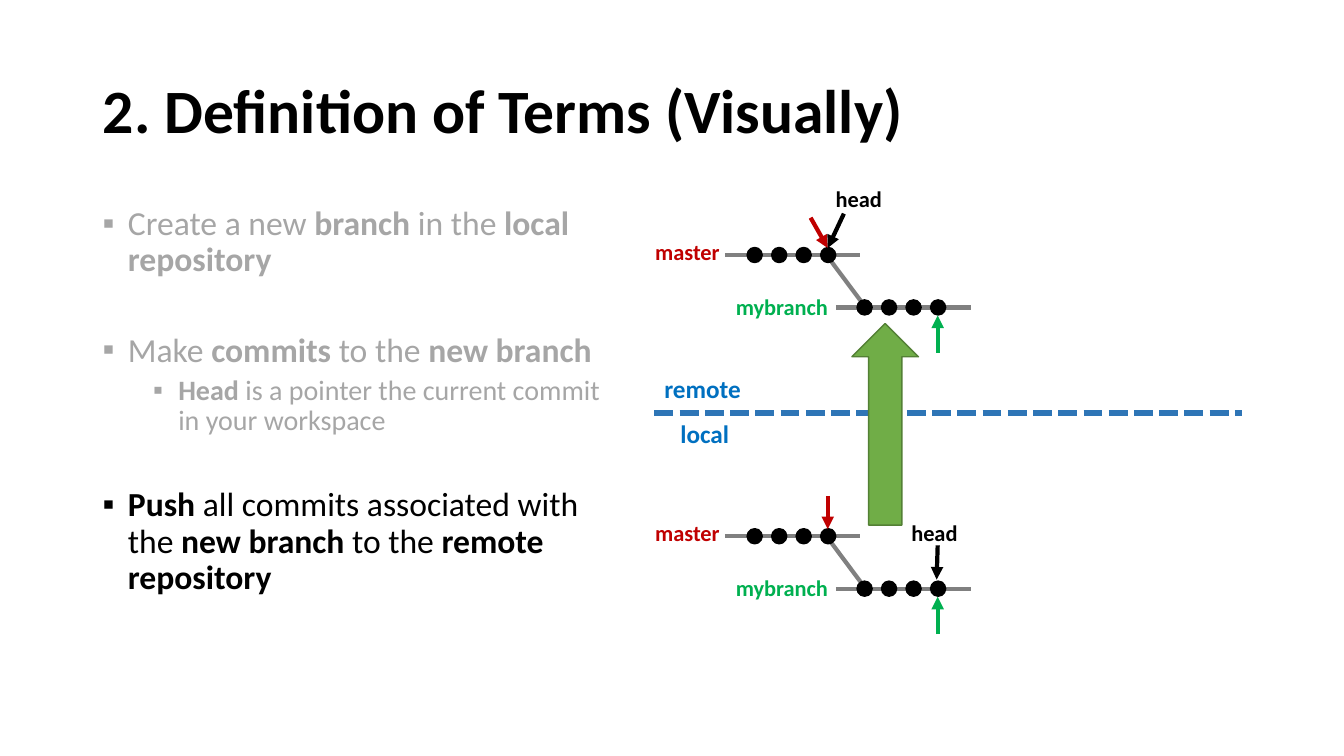
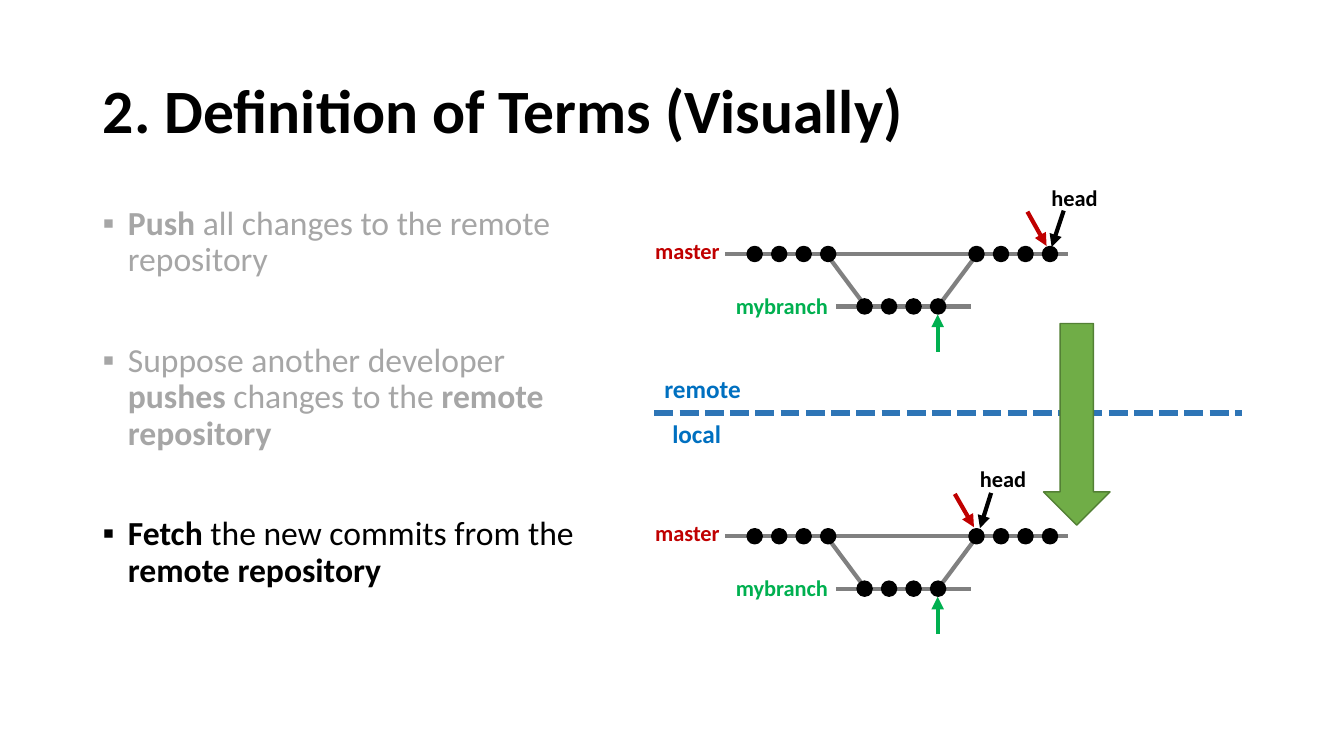
from lxml.etree import SubElement
from pptx import Presentation
from pptx.dml.color import RGBColor
from pptx.enum.dml import MSO_LINE
from pptx.enum.shapes import MSO_CONNECTOR, MSO_SHAPE as Preset
from pptx.enum.text import MSO_ANCHOR as Anchor, PP_ALIGN as Align
from pptx.oxml.ns import qn
from pptx.util import Inches, Pt

COLORS = {
    "black": "000000",
    "faded": "A6A6A6",
    "history": "808080",
    "master": "C00000",
    "branch": "00B050",
    "divider": "2E75B6",
    "zone": "0070C0",
    "transfer": "70AD47",
    "transfer_edge": "538035",
}
FONT = "Calibri"
TITLE = "2. Definition of Terms (Visually)"
COMMIT_SIZE = 0.15
COMMIT_GAP = 0.243
COMMITS_PER_ROW = 4
BRANCH_DROP = 0.52
MASTER_X, BRANCH_X, MERGED_X = 7.41, 8.5, 9.61


def color(name):
    """Return the palette colour with the given name."""
    return RGBColor.from_string(COLORS[name])


def write(paragraph, text, size=16, ink="black", bold=False, align=Align.LEFT, spacing=None):
    """Write text into a paragraph; parts between asterisks switch weight."""
    paragraph.alignment = align
    if spacing:
        paragraph.line_spacing = spacing
    for index, part in enumerate(text.split("*")):
        if part:
            run = paragraph.add_run()
            run.text = part
            run.font.name = FONT
            run.font.size = Pt(size)
            run.font.bold = bold != (index % 2 == 1)
            run.font.color.rgb = color(ink)


def add_frame(slide, left, top, width, height):
    """Add a wrapping text box and return its text frame."""
    box = slide.shapes.add_textbox(Inches(left), Inches(top), Inches(width), Inches(height))
    box.text_frame.word_wrap = True
    return box.text_frame


def add_label(slide, text, left, top, width, height=0.37, **style):
    """Add a bold one-line label."""
    write(add_frame(slide, left, top, width, height).paragraphs[0], text, bold=True, **style)


def add_line(slide, start, end, ink="history", width=3, arrow=False):
    """Draw a straight line, with an arrowhead at its end if asked."""
    line = slide.shapes.add_connector(
        MSO_CONNECTOR.STRAIGHT, *(Inches(value) for value in (*start, *end)))
    line.line.color.rgb = color(ink)
    line.line.width = Pt(width)
    if arrow:
        SubElement(line.line._get_or_add_ln(), qn("a:tailEnd"), type="triangle")
    SubElement(line._element.spPr, qn("a:effectLst"))
    return line


def add_preset(slide, preset, left, top, width, height, fill, edge):
    """Add a filled preset shape with a thin outline."""
    shape = slide.shapes.add_shape(
        preset, Inches(left), Inches(top), Inches(width), Inches(height))
    shape.shadow.inherit = False
    shape.fill.solid()
    shape.fill.fore_color.rgb = color(fill)
    shape.line.color.rgb = color(edge)
    shape.line.width = Pt(1)


def add_commits(slide, left, y):
    """Add a row of commits centred on the height y."""
    for index in range(COMMITS_PER_ROW):
        add_preset(slide, Preset.OVAL, left + index * COMMIT_GAP, y - COMMIT_SIZE / 2,
                   COMMIT_SIZE, COMMIT_SIZE, "black", "black")


def add_history(slide, y, head_at, head_arrow, master_arrow, merged=False):
    """Draw a repository's master and branch with their pointers."""
    branch_y = y + BRANCH_DROP
    add_line(slide, (8.16, y - 0.05), (8.63, y + 0.58))
    if merged:
        add_line(slide, (9.73, y - 0.05), (9.26, y + 0.58))
    add_line(slide, (7.19, y), (10.59 if merged else 8.53, y))
    add_line(slide, (8.29, branch_y), (9.63, branch_y))
    add_commits(slide, MASTER_X, y)
    add_commits(slide, BRANCH_X, branch_y)
    if merged:
        add_commits(slide, MERGED_X, y)
    add_line(slide, *master_arrow, ink="master", arrow=True)
    add_line(slide, *head_arrow, ink="black", arrow=True)
    add_line(slide, (9.3, y + 0.97), (9.3, y + 0.6), ink="branch", arrow=True)
    add_label(slide, "master", 6.4, y - 0.22, 1.06, ink="master")
    add_label(slide, "mybranch", 7.2, y + 0.33, 1.18, ink="branch")
    add_label(slide, "head", *head_at, 0.7)


def add_divider(slide, local_width):
    """Separate the remote zone from the local zone."""
    divider = add_line(slide, (6.49, 4.1), (12.32, 4.1), ink="divider", width=4.5)
    divider.line.dash_style = MSO_LINE.SQUARE_DOT
    add_label(slide, "remote", 6.49, 3.65, 1.06, 0.4, size=18, ink="zone")
    add_label(slide, "local", 6.49, 4.1, local_width, 0.4, size=18, ink="zone",
              align=Align.RIGHT)


def add_steps(slide, steps):
    """List the steps as (text, level, space before, ink) bullets."""
    frame = add_frame(slide, 0.92, 2, 5.19, 4.76)
    for index, (text, level, before, ink) in enumerate(steps):
        step = frame.add_paragraph() if index else frame.paragraphs[0]
        step.level = level
        step.space_before = Pt(before)
        write(step, text, size=20 if level else 24, ink=ink, spacing=0.9)
        properties = step._p.get_or_add_pPr()
        properties.set("marL", str(Inches(0.25 + level * 0.5)))
        properties.set("indent", str(Inches(-0.25)))
        SubElement(properties, qn("a:buFont"), typeface="Arial")
        SubElement(properties, qn("a:buChar"), char="▪")


def add_terms_slide(deck, steps, local_width):
    """Add a slide with the shared title, steps and zone divider."""
    slide = deck.slides.add_slide(deck.slide_layouts[5])
    title = slide.shapes.title
    title.left, title.top = Inches(0.92), Inches(0.4)
    title.width, title.height = Inches(11.5), Inches(1.45)
    title.text_frame.vertical_anchor = Anchor.MIDDLE
    write(title.text_frame.paragraphs[0], TITLE, size=44, bold=True, spacing=0.9)
    add_steps(slide, steps)
    add_divider(slide, local_width)
    return slide


def add_transfer(slide, preset, left):
    """Add the block arrow between the two repositories."""
    add_preset(slide, preset, left, 3.21, 0.66, 2, "transfer", "transfer_edge")


def main():
    """Build the push and fetch slides."""
    deck = Presentation()
    deck.slide_width, deck.slide_height = Inches(13.33), Inches(7.5)

    push = add_terms_slide(deck, [
        ("Create a new *branch* in the *local repository*", 0, 10, "faded"),
        ("Make *commits* to the *new branch*", 0, 38.5, "faded"),
        ("*Head* is a pointer the current commit in your workspace", 1, 5, "faded"),
        ("*Push* all commits associated with the *new branch* to the *remote repository*",
         0, 36.5, "black"),
    ], local_width=0.84)
    add_history(push, 5.32, head_at=(8.94, 5.1),
                head_arrow=((9.3, 5.41), (9.29, 5.75)),
                master_arrow=((8.21, 4.92), (8.21, 5.25)))
    add_history(push, 2.53, head_at=(8.19, 1.79),
                head_arrow=((8.37, 2.12), (8.21, 2.46)),
                master_arrow=((8.04, 2.16), (8.21, 2.46)))
    add_transfer(push, Preset.UP_ARROW, 8.45)

    fetch = add_terms_slide(deck, [
        ("*Push* all changes to the remote repository", 0, 10, "faded"),
        ("Suppose another developer *pushes* changes to the *remote repository*",
         0, 46, "faded"),
        ("*Fetch* the new commits from the *remote repository*", 0, 46, "black"),
    ], local_width=0.76)
    add_history(fetch, 5.32, head_at=(9.62, 4.57), merged=True,
                head_arrow=((9.83, 4.89), (9.72, 5.24)),
                master_arrow=((9.47, 4.9), (9.66, 5.23)))
    add_history(fetch, 2.52, head_at=(10.33, 1.78), merged=True,
                head_arrow=((10.55, 2.09), (10.43, 2.45)),
                master_arrow=((10.19, 2.1), (10.38, 2.44)))
    add_transfer(fetch, Preset.DOWN_ARROW, 10.35)

    deck.save("out.pptx")


if __name__ == "__main__":
    main()
